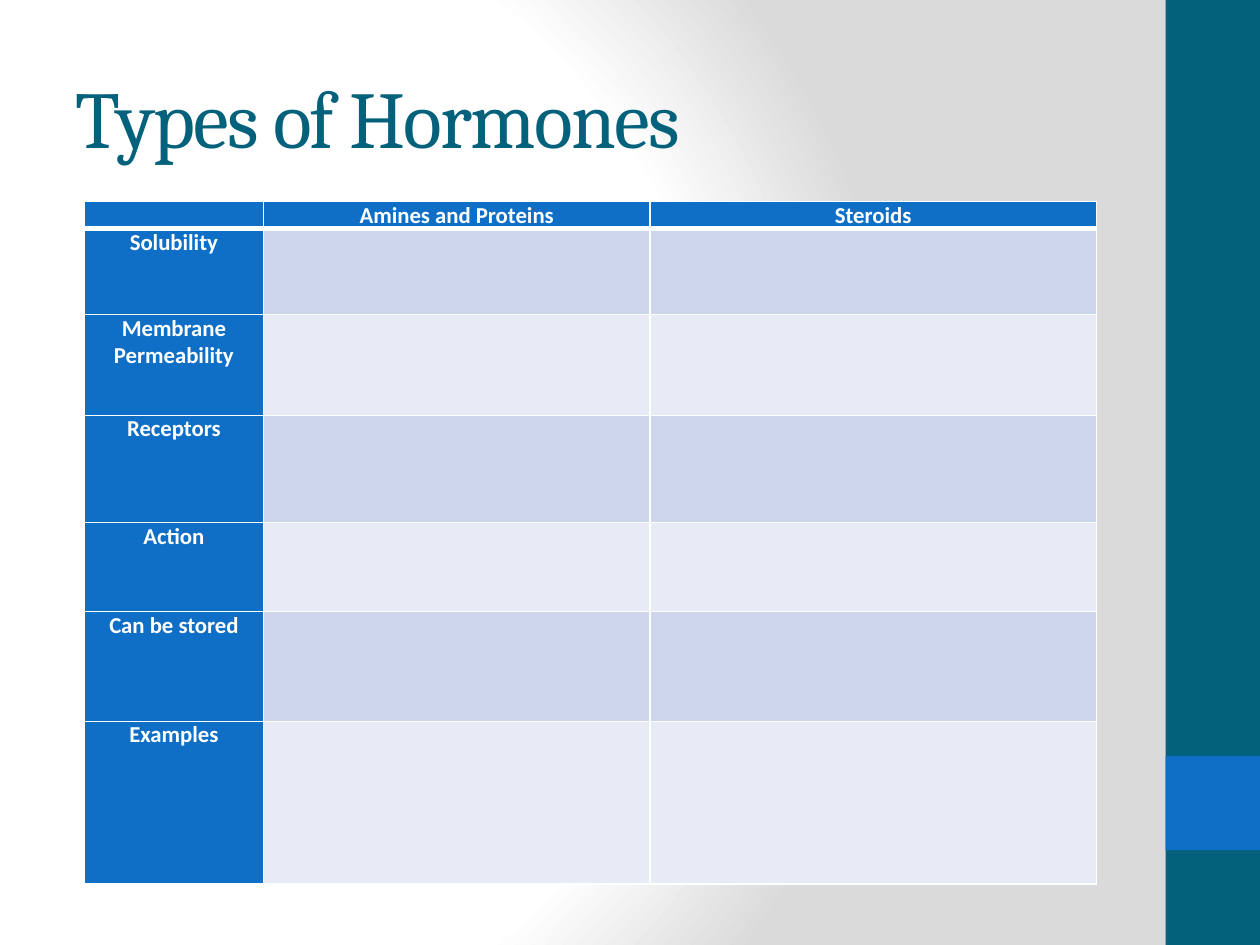
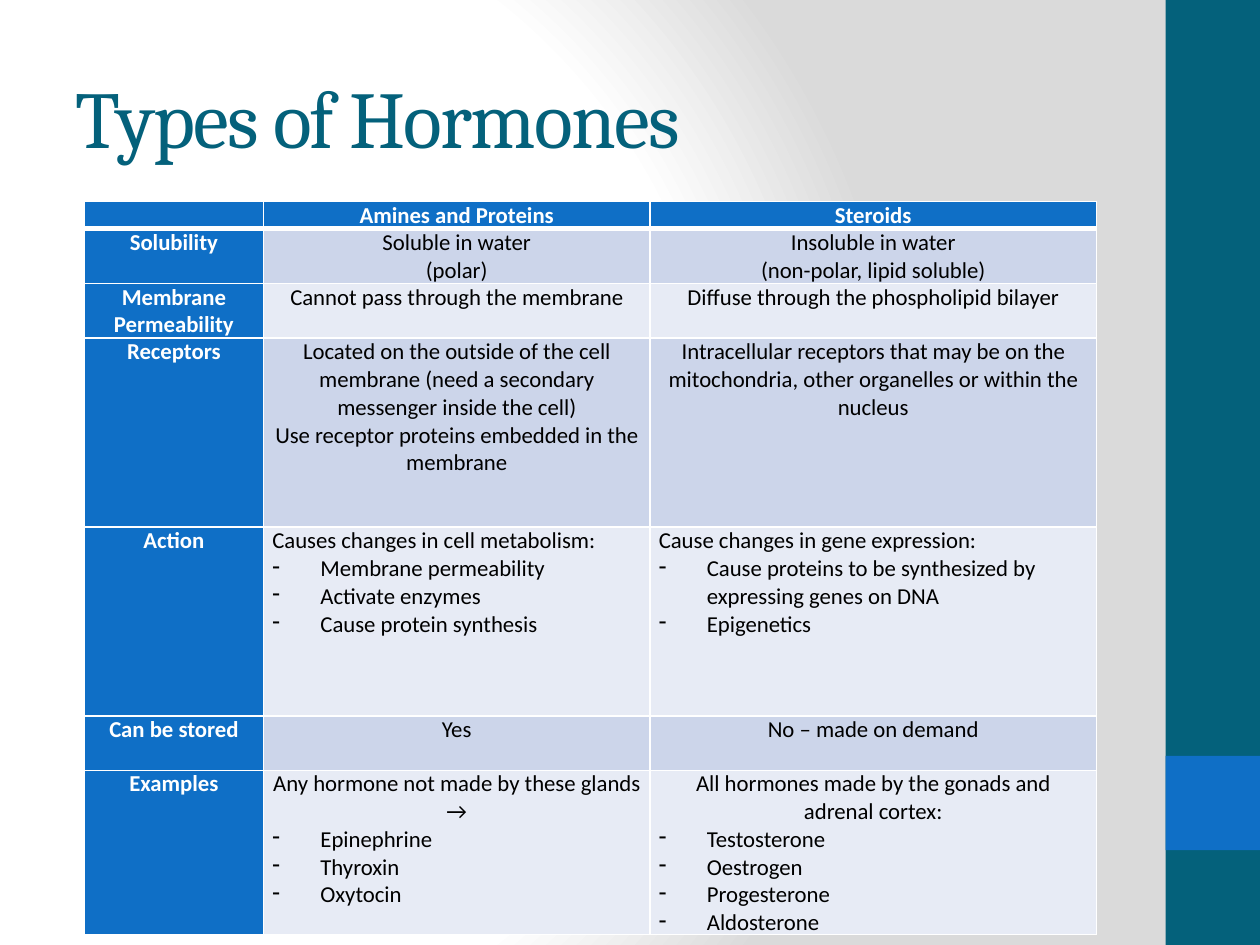
import pptx
import pptx.dml.color
import pptx.enum.shapes
import pptx.enum.text
import pptx.oxml
import pptx.oxml.ns
import pptx.util
from lxml import etree

Cm = pptx.util.Cm
Pt = pptx.util.Pt
ALIGN = pptx.enum.text.PP_ALIGN

COLOURS = {
    "teal": "04617B",
    "blue": "0F6FC6",
    "white": "FFFFFF",
    "grey": "DADADA",
    "black": "000000",
    "band_dark": "CCD5EA",
    "band_light": "E7EBF5",
}
TITLE_FONT, TABLE_FONT = "Cambria", "Calibri"
TABLE_SIZE = 13
DASH_INDENT = Cm(0.97)
PAGE_WIDTH, PAGE_HEIGHT = Cm(25.4), Cm(19.05)
COLUMN_WIDTHS = [3.61, 7.79, 9.0]

TITLE = "Types of Hormones"
HEADINGS = ["", "Amines and Proteins", "Steroids"]
TOPICS = ["Solubility", "Membrane Permeability", "Receptors",
          "Action", "Can be stored", "Examples"]


# Cell content: lists of (style, text) lines
def centred(*texts):
    return [("centre", text) for text in texts]


def left(*texts):
    return [("left", text) for text in texts]


def dashed(*texts):
    return [("dash", text) for text in texts]


ANSWERS = [
    (centred("Soluble in water", "(polar)"),
     centred("Insoluble in water", "(non-polar, lipid soluble)")),
    (centred("Cannot pass through the membrane"),
     centred("Diffuse through the phospholipid bilayer")),
    (centred("Located on the outside of the cell membrane "
             "(need a secondary messenger inside the cell)",
             "Use receptor proteins embedded in the membrane"),
     centred("Intracellular receptors that may be on the mitochondria, "
             "other organelles or within the nucleus")),
    (left("Causes changes in cell metabolism:")
     + dashed("Membrane permeability", "Activate enzymes", "Cause protein synthesis"),
     left("Cause changes in gene expression:")
     + dashed("Cause proteins to be synthesized by expressing genes on DNA",
              "Epigenetics")),
    (centred("Yes"), centred("No – made on demand")),
    (centred("Any hormone not made by these glands →")
     + dashed("Epinephrine", "Thyroxin", "Oxytocin"),
     centred("All hormones made by the gonads and adrenal cortex:")
     + dashed("Testosterone", "Oestrogen", "Progesterone", "Aldosterone")),
]
BLANK_ANSWERS = [([], [])] * len(TOPICS)

BLANK_HEIGHTS = [0.54, 1.73, 2.03, 2.16, 1.8, 2.21, 3.28]
ANSWER_HEIGHTS = [0.54, 1.09, 1.09, 3.81, 3.81, 1.09, 3.28]


def rgb(name):
    return pptx.dml.color.RGBColor.from_string(COLOURS[name])


def add_child(parent, tag, **attributes):
    child = etree.SubElement(parent, pptx.oxml.ns.qn(tag))
    for key, value in attributes.items():
        child.set(key, str(value))
    return child


def add_span(para, text, font, size, colour, bold=False):
    span = para.add_run()
    span.text = text
    span.font.name = font
    span.font.size = Pt(size)
    span.font.bold = bold
    span.font.color.rgb = rgb(colour)
    return span


# Page frame: background, side bands and title
def set_background(page):
    stops = "".join(
        f'<a:gs pos="{position * 1000}"><a:srgbClr val="{COLOURS[name]}"/></a:gs>'
        for position, name in [(0, "white"), (75, "white"), (100, "grey")])
    background = pptx.oxml.parse_xml(
        f'<p:bg {pptx.oxml.ns.nsdecls("p", "a")}><p:bgPr>'
        f'<a:gradFill rotWithShape="1"><a:gsLst>{stops}</a:gsLst>'
        '<a:path path="circle">'
        '<a:fillToRect l="20000" t="50000" r="100000" b="50000"/>'
        '</a:path></a:gradFill><a:effectLst/></p:bgPr></p:bg>')
    page.element.cSld.insert(0, background)


def add_band(page, top, height, colour):
    width = Cm(1.9)
    band = page.shapes.add_shape(pptx.enum.shapes.MSO_SHAPE.RECTANGLE,
                                 PAGE_WIDTH - width, top, width, height)
    band.shadow.inherit = False
    band.fill.solid()
    band.fill.fore_color.rgb = rgb(colour)
    band.line.fill.background()


def add_title(page, text):
    box = page.shapes.add_textbox(Cm(1.27), Cm(0.76), Cm(21.16), Cm(3.18))
    frame = box.text_frame
    frame.word_wrap = True
    frame.vertical_anchor = pptx.enum.text.MSO_ANCHOR.MIDDLE
    span = add_span(frame.paragraphs[0], text, TITLE_FONT, 46, "teal")
    span.font._element.set("spc", "-100")


def add_page(deck):
    page = deck.slides.add_slide(deck.slide_layouts[6])
    set_background(page)
    add_band(page, 0, PAGE_HEIGHT, "teal")
    add_band(page, Cm(15.24), Cm(1.9), "blue")
    add_title(page, TITLE)
    return page


# Table
def set_borders(cell, top, bottom):
    properties = cell._tc.get_or_add_tcPr()
    for side, points in [("L", 1), ("R", 1), ("T", top), ("B", bottom)]:
        line = add_child(properties, f"a:ln{side}", w=Pt(points))
        add_child(add_child(line, "a:solidFill"), "a:srgbClr", val=COLOURS["white"])


def fill_cell(cell, lines, fill, colour, bold):
    cell.margin_left = cell.margin_right = Cm(0.18)
    cell.margin_top = cell.margin_bottom = 0
    cell.fill.solid()
    cell.fill.fore_color.rgb = rgb(fill)
    frame = cell.text_frame
    if not lines:
        add_child(frame.paragraphs[0]._p, "a:endParaRPr", sz=TABLE_SIZE * 100)
    for index, (style, text) in enumerate(lines):
        para = frame.add_paragraph() if index else frame.paragraphs[0]
        para.alignment = ALIGN.CENTER if style == "centre" else ALIGN.LEFT
        if style == "dash":
            properties = para._p.get_or_add_pPr()
            properties.set("marL", str(DASH_INDENT))
            properties.set("indent", str(-DASH_INDENT))
            add_child(properties, "a:buChar", char="-")
        add_span(para, text, TABLE_FONT, TABLE_SIZE, colour, bold)


def add_hormone_table(page, answers, heights):
    rows = [[centred(text) if text else [] for text in HEADINGS]]
    rows += [[centred(topic), *pair] for topic, pair in zip(TOPICS, answers)]
    table = page.shapes.add_table(
        len(rows), len(HEADINGS), Cm(1.7), Cm(4.06),
        Cm(sum(COLUMN_WIDTHS)), Cm(sum(heights))).table
    table.first_row = table.horz_banding = False
    for column, width in zip(table.columns, COLUMN_WIDTHS):
        column.width = Cm(width)
    for r, (cells, height) in enumerate(zip(rows, heights)):
        table.rows[r].height = Cm(height)
        band = "band_dark" if r % 2 else "band_light"
        for c, lines in enumerate(cells):
            cell = table.cell(r, c)
            heading = r == 0 or c == 0
            set_borders(cell, top=3 if r == 1 else 1, bottom=3 if r == 0 else 1)
            fill_cell(cell, lines, "blue" if heading else band,
                      "white" if heading else "black", heading)


def main():
    deck = pptx.Presentation()
    deck.slide_width, deck.slide_height = PAGE_WIDTH, PAGE_HEIGHT
    # The empty table first, then the same table with its answers
    for answers, heights in [(BLANK_ANSWERS, BLANK_HEIGHTS),
                             (ANSWERS, ANSWER_HEIGHTS)]:
        add_hormone_table(add_page(deck), answers, heights)
    deck.save("out.pptx")


if __name__ == "__main__":
    main()
